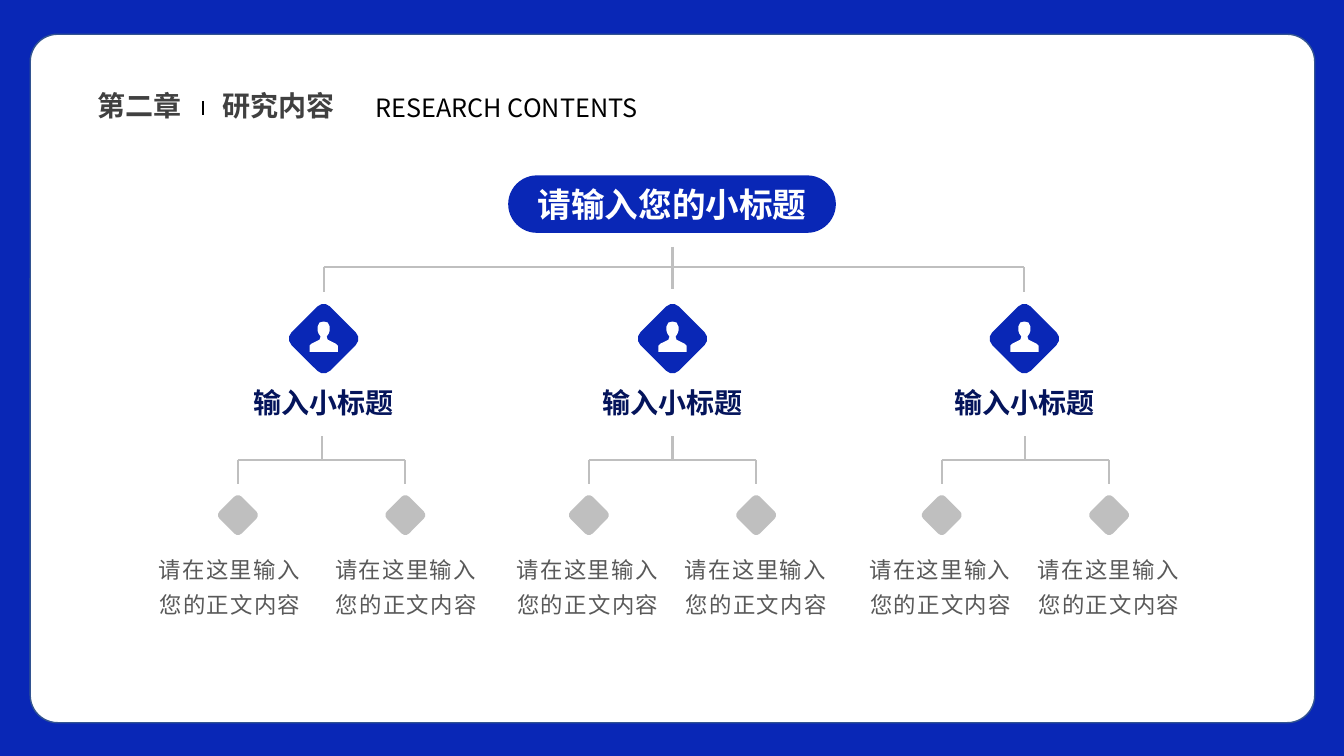
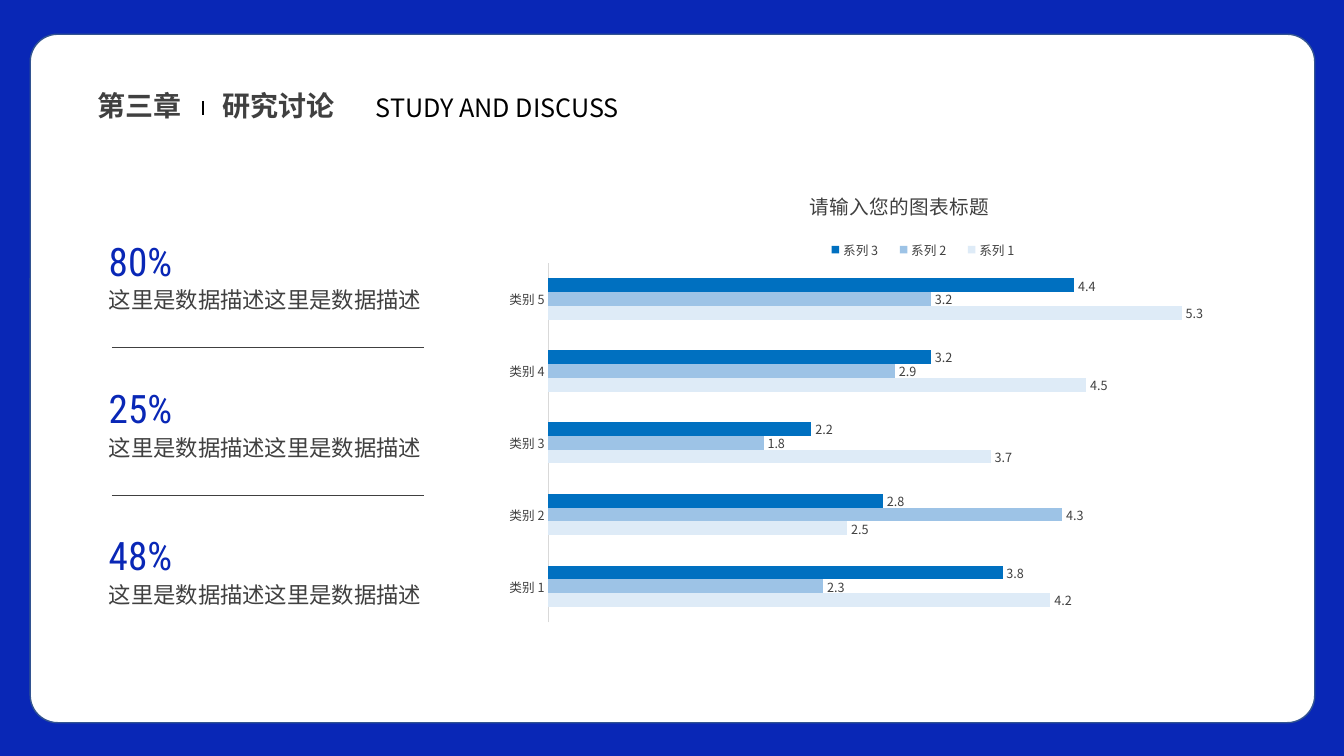
"""Build two report slides: a research content tree and a discussion chart."""
from lxml import etree
from pptx import Presentation
from pptx.chart.data import CategoryChartData
from pptx.dml.color import RGBColor
from pptx.enum.chart import XL_CHART_TYPE, XL_LABEL_POSITION, XL_LEGEND_POSITION, XL_TICK_MARK
from pptx.enum.shapes import MSO_CONNECTOR, MSO_SHAPE
from pptx.enum.text import MSO_ANCHOR, MSO_AUTO_SIZE, PP_ALIGN
from pptx.oxml.ns import qn
from pptx.util import Inches, Pt

BLUE = RGBColor(0x09, 0x27, 0xB6)
NAVY = RGBColor(0x04, 0x14, 0x5B)
EDGE = RGBColor(0x32, 0x54, 0x91)
WHITE = RGBColor(0xFF, 0xFF, 0xFF)
BLACK = RGBColor(0, 0, 0)
DARK = RGBColor(0x40, 0x40, 0x40)
GREY = RGBColor(0x59, 0x59, 0x59)
SILVER = RGBColor(0xBF, 0xBF, 0xBF)
PALE = RGBColor(0xD9, 0xD9, 0xD9)
SERIES_COLORS = [RGBColor(0xDE, 0xEB, 0xF7), RGBColor(0x9D, 0xC3, 0xE6), RGBColor(0x00, 0x70, 0xC0)]
CJK, CONDENSED = "Noto Sans CJK SC", "Roboto Condensed"
LEFT, CENTER = PP_ALIGN.LEFT, PP_ALIGN.CENTER
ROUND, STRAIGHT = MSO_SHAPE.ROUNDED_RECTANGLE, MSO_CONNECTOR.STRAIGHT
TOP, MIDDLE = MSO_ANCHOR.TOP, MSO_ANCHOR.MIDDLE
NO_FIT = MSO_AUTO_SIZE.NONE


def write(sp, text, size, color, bold=False, align=LEFT, font=CJK, anchor=TOP, wrap=False):
    """Fill a shape with one formatted paragraph and return it."""
    tf = sp.text_frame
    tf.text = text
    tf.auto_size = NO_FIT
    tf.word_wrap = wrap
    tf.vertical_anchor = anchor
    p = tf.paragraphs[0]
    p.alignment = align
    p.font.size = Pt(size)
    p.font.bold = bold
    p.font.name = font
    p.font.color.rgb = color
    return p


def paint(sp, color):
    """Give a shape a flat fill without outline or shadow."""
    sp.shadow.inherit = False
    sp.fill.solid()
    sp.fill.fore_color.rgb = color
    sp.line.fill.background()


prs = Presentation()
prs.slide_width, prs.slide_height = Inches(13.33), Inches(7.5)
prs.slide_master.background.fill.solid()
prs.slide_master.background.fill.fore_color.rgb = BLUE
layout = prs.slide_layouts[5]
title = layout.placeholders[0]
title.left, title.top, title.width, title.height = Inches(2.11), Inches(0.83), Inches(1.32), Inches(0.44)

HEADINGS = [("第二章", "研究内容", "RESEARCH CONTENTS"), ("第三章", "研究讨论", "STUDY AND DISCUSS")]
lines = []
for chapter, name, english in HEADINGS:
    s = prs.slides.add_slide(layout)
    write(s.shapes.title, name, 20, DARK, True)
    sp = s.shapes.add_textbox(Inches(0.87), Inches(0.83), Inches(1.05), Inches(0.44))
    write(sp, chapter, 20, DARK, True)
    sp = s.shapes.add_textbox(Inches(3.63), Inches(0.87), Inches(4.06), Inches(0.4))
    write(sp, english, 18, BLACK)
    lines.append((s, 2.01, 1, 2.01, 1.14, BLACK, 1.5))
tree, discussion = prs.slides

card = tree.shapes.add_shape(ROUND, Inches(0.3), Inches(0.34), Inches(12.74), Inches(6.83))
card.adjustments[0] = 0.04
paint(card, WHITE)
card.line.color.rgb = EDGE
card.line.width = Pt(1)
layout.shapes.element.append(card.element)

pill = tree.shapes.add_shape(ROUND, Inches(5.04), Inches(1.74), Inches(3.25), Inches(0.57))
pill.adjustments[0] = 0.5
paint(pill, BLUE)
write(pill, "请输入您的小标题", 24, WHITE, True, CENTER, anchor=MIDDLE)

BRANCHES = [(3.21, 3.19, (2.28, 4.03)), (6.67, 6.67, (5.83, 7.5)), (10.16, 10.17, (9.33, 11))]
BUS, FORK, LEAF_GAP = 2.65, 4.56, 0.83
HALF_PERSON = [(0, 3.19), (0.04, 3.2), (0.06, 3.24), (0.06, 3.28), (0.05, 3.31), (0.03, 3.34),
               (0.04, 3.37), (0.08, 3.39), (0.12, 3.41), (0.14, 3.43), (0.14, 3.49)]
person = HALF_PERSON + [(-x, y) for x, y in reversed(HALF_PERSON)]

first, middle, last = [head for head, fork, leaves in BRANCHES]
lines += [(tree, middle, 2.45, middle, 2.87, SILVER, 1.5), (tree, first, BUS, last, BUS, SILVER, 1.5)]
lines += [(tree, x, BUS, x, 2.9, SILVER, 1.5) for x in (first, last)]
for head, fork, leaves in BRANCHES:
    diamonds = [(head, 3.36, 0.54, BLUE)]
    diamonds += [(fork + side * LEAF_GAP, 5.11, 0.31, SILVER) for side in (-1, 1)]
    for x, y, size, color in diamonds:
        sp = tree.shapes.add_shape(ROUND, Inches(x - size / 2), Inches(y - size / 2), Inches(size), Inches(size))
        sp.rotation = 45
        paint(sp, color)
    points = [(Inches(head + x), Inches(y)) for x, y in person]
    builder = tree.shapes.build_freeform(*points[0])
    builder.add_line_segments(points[1:])
    paint(builder.convert_to_shape(), WHITE)
    sp = tree.shapes.add_textbox(Inches(head - 0.8), Inches(3.78), Inches(1.6), Inches(0.44))
    write(sp, "输入小标题", 20, NAVY, True, CENTER)
    lines.append((tree, fork, 4.33, fork, FORK, SILVER, 1.5))
    lines.append((tree, fork - LEAF_GAP, FORK, fork + LEAF_GAP, FORK, SILVER, 1.5))
    for side, x in zip((-1, 1), leaves):
        end = fork + side * LEAF_GAP
        lines.append((tree, end, FORK, end, 4.8, SILVER, 1.5))
        sp = tree.shapes.add_textbox(Inches(x - 0.755), Inches(5.44), Inches(1.51), Inches(0.79))
        p = write(sp, "请在这里输入您的正文内容", 16, GREY, align=CENTER, wrap=True)
        p.line_spacing = 1.3
        p._p.pPr.find(qn("a:defRPr")).set("spc", "100")
        tf = sp.text_frame
        tf.margin_left = tf.margin_right = tf.margin_top = tf.margin_bottom = 0

ROW_TOP, ROW = 2.19, 1.46
for i, share in enumerate(["80%", "25%", "48%"]):
    y = ROW_TOP + i * ROW
    sp = discussion.shapes.add_textbox(Inches(0.98), Inches(y), Inches(1.72), Inches(0.62))
    p = write(sp, share, 28, BLUE, font=CONDENSED)
    p.line_spacing = 1.25
    sp = discussion.shapes.add_textbox(Inches(0.98), Inches(y + 0.55), Inches(3.38), Inches(0.4))
    p = write(sp, "这里是数据描述这里是数据描述", 16, DARK)
    p.line_spacing = 1.2
    if i:
        lines.append((discussion, 1.11, y - 0.2, 4.21, y - 0.2, DARK, 0.5))

for s, x1, y1, x2, y2, color, width in lines:
    line = s.shapes.add_connector(STRAIGHT, Inches(x1), Inches(y1), Inches(x2), Inches(y2))
    line.line.color.rgb = color
    line.line.width = Pt(width)
    etree.SubElement(line.element.spPr, qn("a:effectLst"))

data = CategoryChartData()
data.categories = [f"类别 {n}" for n in range(1, 6)]
data.add_series("系列 1", [4.2, 2.5, 3.7, 4.5, 5.3])
data.add_series("系列 2", [2.3, 4.3, 1.8, 2.9, 3.2])
data.add_series("系列 3", [3.8, 2.8, 2.2, 3.2, 4.4])
chart = discussion.shapes.add_chart(XL_CHART_TYPE.BAR_CLUSTERED, Inches(5.04), Inches(1.71),
                                    Inches(7.99), Inches(4.51), data).chart
chart.has_title = True
tf = chart.chart_title.text_frame
tf.text = "请输入您的图表标题"
chart.has_legend = True
chart.legend.position = XL_LEGEND_POSITION.TOP
chart.legend.include_in_layout = False
category, value = chart.category_axis, chart.value_axis
category.major_tick_mark = XL_TICK_MARK.NONE
category.format.line.color.rgb = PALE
category.format.line.width = Pt(0.75)
value.minimum_scale, value.maximum_scale = 0, 6
value.has_major_gridlines = False
value.visible = False
plot = chart.plots[0]
plot.gap_width, plot.overlap = 219, 0
plot.vary_by_categories = False
fonts = [(chart.font, 10), (chart.legend.font, 9), (category.tick_labels.font, 9),
         (tf.paragraphs[0].runs[0].font, 14)]
for series, color in zip(plot.series, SERIES_COLORS):
    series.format.fill.solid()
    series.format.fill.fore_color.rgb = color
    labels = series.data_labels
    labels.show_value = True
    labels.position = XL_LABEL_POSITION.OUTSIDE_END
    fonts.append((labels.font, 9))
for font, size in fonts:
    font.size = Pt(size)
    font.bold = False
    font.name = CJK
    font.color.rgb = DARK

root = chart.element if hasattr(chart, "element") else chart._chartSpace
LAYOUTS = [("c:title", {"x": 0.37, "y": 0.03}),
           ("c:legend", {"x": 0.38, "y": 0.14, "w": 0.27, "h": 0.06}),
           ("c:plotArea", {"x": 0.05, "y": 0.2, "w": 0.89, "h": 0.79})]
for tag, box in LAYOUTS:
    part = root.find(".//" + qn(tag))
    for old in part.findall(qn("c:layout")):
        part.remove(old)
    place = etree.Element(qn("c:layout"))
    manual = etree.SubElement(place, qn("c:manualLayout"))
    if tag == "c:plotArea":
        etree.SubElement(manual, qn("c:layoutTarget"), val="inner")
    for key in "xy":
        etree.SubElement(manual, qn(f"c:{key}Mode"), val="edge")
    for key, share in box.items():
        etree.SubElement(manual, qn(f"c:{key}"), val=str(share))
    part.insert(0 if tag == "c:plotArea" else 1, place)

for element in (tree.element, discussion.element, root):
    for latin in list(element.iter(qn("a:latin"))):
        latin.addnext(etree.Element(qn("a:ea"), typeface=latin.get("typeface")))

prs.save("out.pptx")
